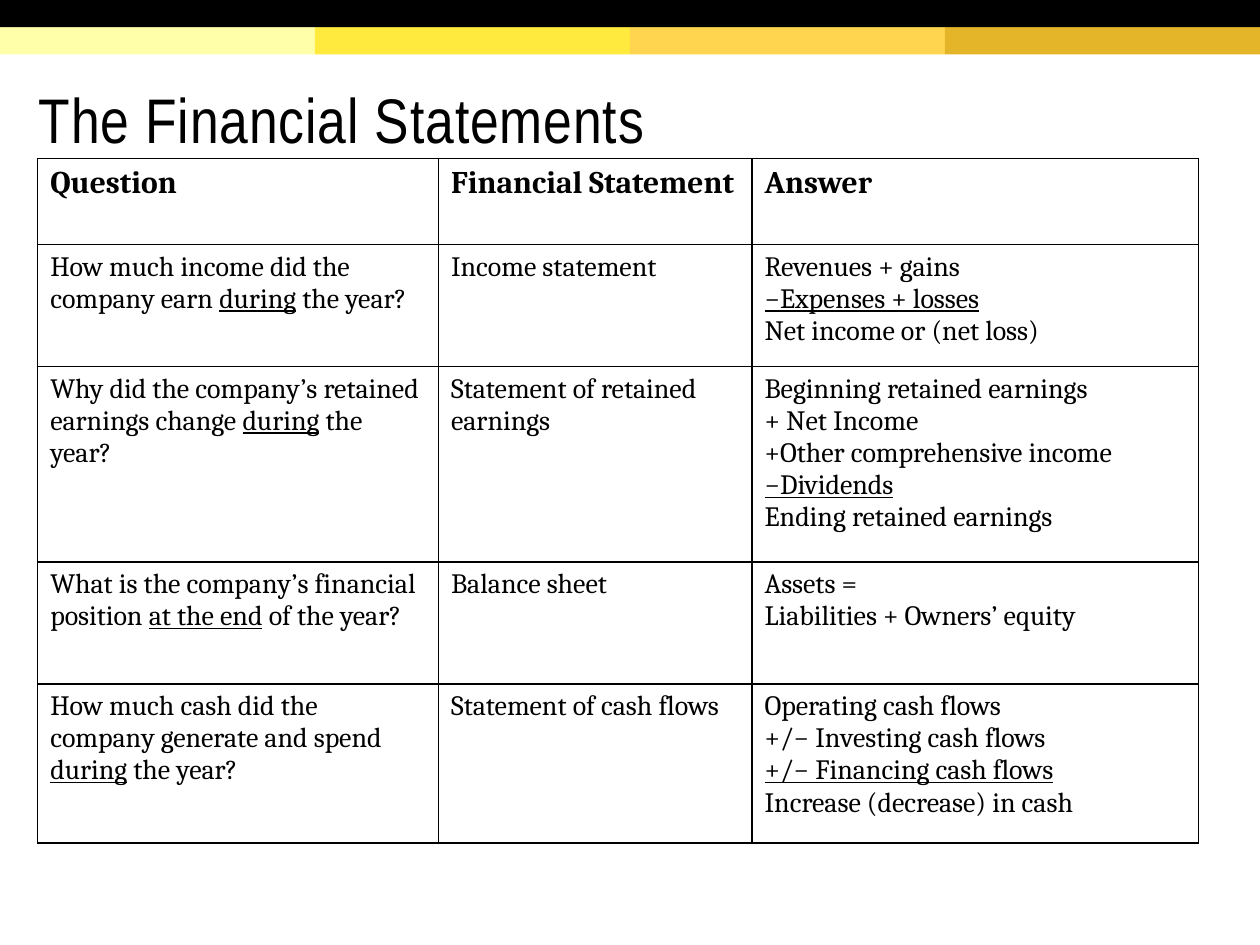
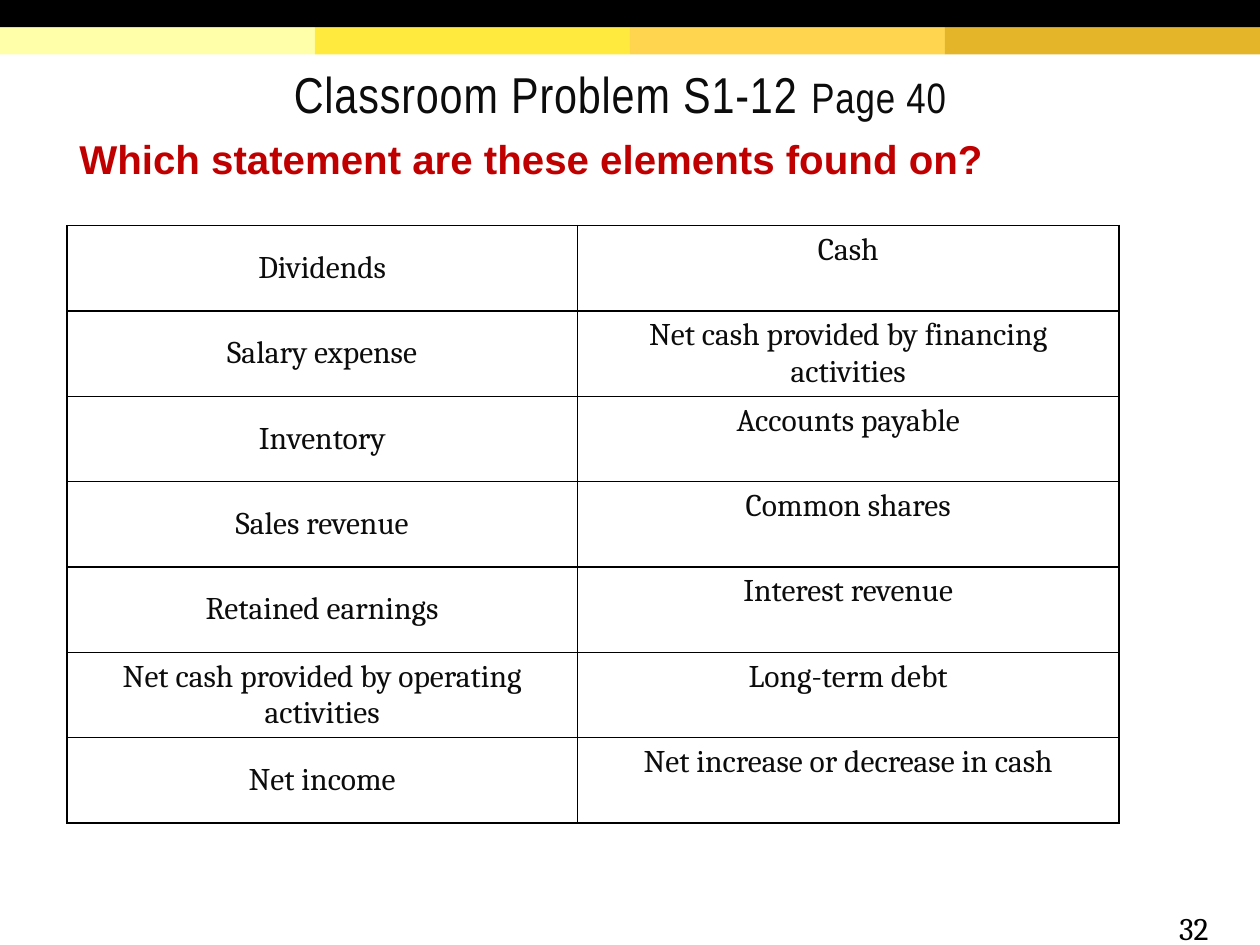
import dataclasses

import lxml.etree
import pptx
import pptx.dml.color
import pptx.enum.shapes
import pptx.enum.text
import pptx.oxml.ns
import pptx.util

Cm = pptx.util.Cm
Pt = pptx.util.Pt
ALIGN = pptx.enum.text.PP_ALIGN
ANCHOR = pptx.enum.text.MSO_ANCHOR


@dataclasses.dataclass(frozen=True)
class Theme:
    black: str = "000000"
    ink: str = "0C0C0C"
    red: str = "C00000"
    bands: tuple = ("FFFFAA", "FFEA3D", "FFD54F", "E4B429")
    title_font: str = "Arial Narrow"
    prompt_font: str = "Arial"
    table_font: str = "Cambria"
    title_size: float = 36
    problem_size: float = 28.8
    page_size: float = 24.3
    prompt_size: float = 23
    heading_size: float = 18
    cell_size: float = 16
    border: float = 1


theme = Theme()


def write(para, text, font, size, color, bold=False, align=ALIGN.LEFT):
    para.alignment = align
    para.font.name = font
    para.font.size = Pt(size)
    para.font.bold = bold
    para.font.color.rgb = pptx.dml.color.RGBColor.from_string(color)
    for index, part in enumerate(text.split("_")):
        if part:
            span = para.add_run()
            span.text = part
            if index % 2:
                span.font.underline = True


def add_grid(page, left, top, widths, heights):
    frame = page.shapes.add_table(len(heights), len(widths), Cm(left), Cm(top),
                                  Cm(sum(widths)), Cm(sum(heights)))
    table = frame.table
    table.first_row = False
    table.horz_banding = False
    for column, width in zip(table.columns, widths):
        column.width = Cm(width)
    for row, height in zip(table.rows, heights):
        row.height = Cm(height)
    for cell in table.iter_cells():
        properties = cell._tc.get_or_add_tcPr()
        for side in ("a:lnL", "a:lnR", "a:lnT", "a:lnB"):
            line = lxml.etree.SubElement(properties, pptx.oxml.ns.qn(side), w=str(Pt(theme.border)))
            fill = lxml.etree.SubElement(line, pptx.oxml.ns.qn("a:solidFill"))
            lxml.etree.SubElement(fill, pptx.oxml.ns.qn("a:srgbClr"), val=theme.black)
        cell.fill.background()
    return table


deck = pptx.Presentation()
deck.slide_width = Cm(25.4)
deck.slide_height = Cm(19.05)
title_only = deck.slide_layouts[5]
statements_page = deck.slides.add_slide(title_only)
problem_page = deck.slides.add_slide(title_only)

band_height = 0.55
band_width = 25.4 / len(theme.bands)
bands = [(index * band_width, band_height, band_width, color)
         for index, color in enumerate(theme.bands)]
bands.append((0, 0, 25.4, theme.black))
for index, (left, top, width, color) in enumerate(bands):
    band = statements_page.shapes.add_shape(
        pptx.enum.shapes.MSO_SHAPE.RECTANGLE, Cm(left), Cm(top), Cm(width), Cm(band_height))
    band.shadow.inherit = False
    band.fill.solid()
    band.fill.fore_color.rgb = pptx.dml.color.RGBColor.from_string(color)
    band.line.fill.background()
    band.element.nvSpPr.cNvPr.set("id", str(20 + index))
    deck.slide_master.shapes.element.insert(2 + index, band.element)

titles = [
    (statements_page, "The Financial Statements", (0.53, 1.19, 24.1, 2.49),
     theme.title_size, theme.black, ALIGN.LEFT),
    (problem_page, "Classroom Problem S1-12 ", (1.07, 1.27, 22.86, 1.3),
     theme.problem_size, theme.ink, ALIGN.CENTER),
]
for page, text, place, size, color, align in titles:
    title = page.shapes.title
    title.left, title.top, title.width, title.height = map(Cm, place)
    frame = title.text_frame
    frame.auto_size = pptx.enum.text.MSO_AUTO_SIZE.NONE
    frame.vertical_anchor = ANCHOR.MIDDLE
    frame.margin_top = Cm(0.25)
    para = frame.paragraphs[0]
    para.line_spacing = 0.85
    write(para, text, theme.title_font, size, color, align=align)
page_reference = problem_page.shapes.title.text_frame.paragraphs[0].add_run()
page_reference.text = "Page 40"
page_reference.font.size = Pt(theme.page_size)
for page in deck.slides:
    for span in page.shapes.title.text_frame.paragraphs[0].runs:
        span._r.get_or_add_rPr().set("spc", "50")

statements = [
    ("Question", "Financial Statement", "Answer"),
    ("How much income did the company earn _during_ the year?", "Income statement",
     "Revenues + gains\n_−Expenses + losses_\nNet income or (net loss)"),
    ("Why did the company’s retained earnings change _during_ the year?",
     "Statement of retained earnings",
     "Beginning retained earnings\n+ Net Income\n+Other comprehensive income\n"
     "_−Dividends_\nEnding retained earnings"),
    ("What is the company’s financial position _at the end_ of the year?", "Balance sheet",
     "Assets =\nLiabilities + Owners’ equity"),
    ("How much cash did the company generate and spend _during_ the year?",
     "Statement of cash flows",
     "Operating cash flows\n+/− Investing cash flows\n_+/− Financing cash flows_\n"
     "Increase (decrease) in cash"),
]
statement_table = add_grid(statements_page, 0.76, 3.2, (8.08, 6.32, 9),
                           (1.73, 2.46, 3.94, 2.46, 3.2))
for row, texts in enumerate(statements):
    size = theme.cell_size if row else theme.heading_size
    for column, text in enumerate(texts):
        frame = statement_table.cell(row, column).text_frame
        for index, line in enumerate(text.split("\n")):
            para = frame.add_paragraph() if index else frame.paragraphs[0]
            write(para, line, theme.table_font, size, theme.black, bold=row == 0)

elements = [
    ("Dividends", "Cash"),
    ("Salary expense", "Net cash provided by financing activities"),
    ("Inventory", "Accounts payable"),
    ("Sales revenue", "Common shares"),
    ("Retained earnings", "Interest revenue"),
    ("Net cash provided by operating activities", "Long-term debt"),
    ("Net income", "Net increase or decrease in cash"),
]
element_table = add_grid(problem_page, 1.35, 4.55, (10.29, 10.92), [1.72] * len(elements))
for row, texts in enumerate(elements):
    for column, text in enumerate(texts):
        cell = element_table.cell(row, column)
        cell.vertical_anchor = ANCHOR.TOP if column else ANCHOR.MIDDLE
        write(cell.text_frame.paragraphs[0], text, theme.table_font, theme.heading_size,
              theme.ink, align=ALIGN.CENTER)

labels = [
    ("32", (23.52, 18.21, 1.52, 0.51), theme.table_font, theme.heading_size, theme.black, False),
    ("Which statement are these elements found on?", (1.35, 2.59, 20.4, 1.24),
     theme.prompt_font, theme.prompt_size, theme.red, True),
]
for text, place, font, size, color, bold in labels:
    box = problem_page.shapes.add_textbox(*map(Cm, place))
    box.text_frame.word_wrap = True
    write(box.text_frame.paragraphs[0], text, font, size, color, bold)

deck.save("out.pptx")
